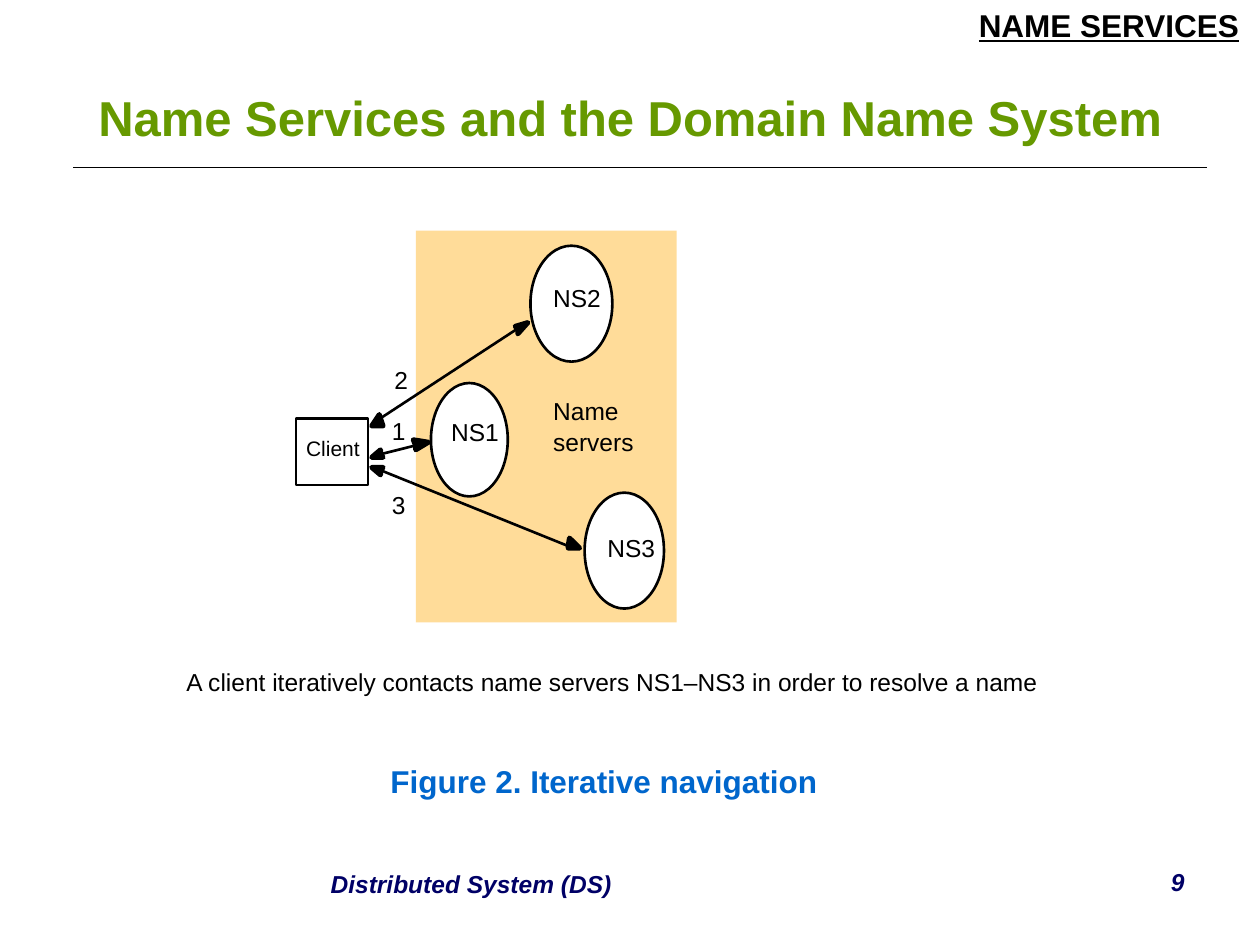
from lxml.etree import SubElement
from pptx import Presentation
from pptx.dml.color import RGBColor
from pptx.enum.shapes import MSO_CONNECTOR as CONNECTOR, MSO_SHAPE as SHAPE
from pptx.enum.text import MSO_ANCHOR as ANCHOR, PP_ALIGN as ALIGN
from pptx.oxml.ns import qn
from pptx.util import Pt

PX = 9144  # 100 px to the inch
COLORS = {
    "black": "000000",
    "white": "FFFFFF",
    "title": "669900",
    "zone": "FFDC99",
    "caption": "0066CC",
    "footer": "000066",
}


def color(name):
    return RGBColor.from_string(COLORS[name])


def add_text(box, text, size=14, ink="black", align=ALIGN.LEFT, margins=(0, 0),
             wrap=False, anchor=ANCHOR.TOP, bold=False, italic=False, underline=False):
    """Add a one-line text box; box and margins (side, top) are in px."""
    frame = slide.shapes.add_textbox(*(v * PX for v in box)).text_frame
    frame.margin_left = frame.margin_right = margins[0] * PX
    frame.margin_top = frame.margin_bottom = margins[1] * PX
    frame.word_wrap = wrap
    frame.vertical_anchor = anchor
    paragraph = frame.paragraphs[0]
    paragraph.alignment = align
    run = paragraph.add_run()
    run.text = text
    font = run.font
    font.name, font.size = "Arial", Pt(size)
    font.bold, font.italic, font.underline = bold, italic, underline
    font.color.rgb = color(ink)


presentation = Presentation()
presentation.slide_width, presentation.slide_height = 1000 * PX, 750 * PX
slide = presentation.slides.add_slide(presentation.slide_layouts[6])

# Header, page number and title
padded = {"margins": (10, 5), "wrap": True, "bold": True}
add_text((767, 0, 233, 40), "NAME SERVICES", 18, underline=True, **padded)
add_text((717, 683, 233, 52), "9", ink="footer", align=ALIGN.RIGHT, italic=True, **padded)
add_text((50, 64, 900, 57), "Name Services and the Domain Name System", 28, "title",
         ALIGN.CENTER, anchor=ANCHOR.MIDDLE, **padded)

# One-cell table whose top border is the rule under the title
table = slide.shapes.add_table(1, 1, 58 * PX, 133 * PX, 900 * PX, 218 * PX).table
table.first_row = table.horz_banding = False
cell = table.cell(0, 0)
cell_properties = cell._tc.get_or_add_tcPr()
for side in ("L", "R", "T", "B"):
    border = SubElement(cell_properties, qn(f"a:ln{side}"), w=str(Pt(1.08)))
    if side == "T":
        fill = SubElement(border, qn("a:solidFill"))
        SubElement(fill, qn("a:srgbClr"), val=COLORS["black"])
    else:
        SubElement(border, qn("a:noFill"))
cell.fill.background()

# Server zone, name servers and client
nodes = [
    (SHAPE.RECTANGLE, (330, 183, 207, 311), "zone", False),
    (SHAPE.OVAL, (342, 304, 61, 90), "white", True),
    (SHAPE.OVAL, (421, 195, 65, 92), "white", True),
    (SHAPE.OVAL, (464, 391, 63, 92), "white", True),
    (SHAPE.RECTANGLE, (235, 332, 57, 53), None, True),
]
for kind, box, fill_name, outlined in nodes:
    shape = slide.shapes.add_shape(kind, *(v * PX for v in box))
    shape.shadow.inherit = False
    if fill_name:
        shape.fill.solid()
        shape.fill.fore_color.rgb = color(fill_name)
    else:
        shape.fill.background()
    if outlined:
        shape.line.color.rgb = color("black")
        shape.line.width = Pt(1.5)
    else:
        shape.line.fill.background()

# Each request: line start, line end, then the two arrowhead outlines
requests = [
    ((304, 360), (328, 354),
     [(302, 360), (304, 363), (295, 363), (302, 357)],
     [(330, 354), (328, 349), (340, 351), (330, 357)]),
    ((302, 332), (409, 262),
     [(302, 332), (304, 338), (295, 338), (301, 329)],
     [(411, 262), (409, 259), (419, 256), (411, 265)]),
    ((450, 433), (304, 374),
     [(451, 433), (452, 427), (460, 435), (451, 435)],
     [(302, 374), (302, 377), (295, 371), (304, 371)]),
]
for start, end, *arrowheads in requests:
    for points in arrowheads:
        builder = slide.shapes.build_freeform(*points[0], scale=PX)
        builder.add_line_segments(points[1:], close=True)
        arrowhead = builder.convert_to_shape()
        arrowhead.shadow.inherit = False
        arrowhead.fill.solid()
        arrowhead.fill.fore_color.rgb = color("black")
        arrowhead.line.color.rgb = color("black")
        arrowhead.line.width = Pt(2.86)
    line = slide.shapes.add_connector(CONNECTOR.STRAIGHT, *(v * PX for v in start + end))
    line.line.color.rgb = color("black")
    line.line.width = Pt(1.5)
    SubElement(line._element.spPr, qn("a:effectLst"))

# Diagram labels
add_text((243, 346, 43, 20), "Client", 12)
labels = [
    ("1", 311, 330, 11),
    ("2", 313, 290, 11),
    ("3", 311, 389, 11),
    ("A client iteratively contacts name servers NS1–NS3 in order to resolve a name",
     148, 529, 677),
    ("NS2", 439, 225, 38),
    ("NS1", 358, 331, 38),
    ("NS3", 482, 423, 38),
    ("Name", 439, 314, 52),
    ("servers", 439, 339, 64),
]
for text, left, top, width in labels:
    add_text((left, top, width, 23), text)

# Caption and footer
add_text((300, 600, 359, 40), "Figure 2. Iterative navigation", 18, "caption",
         margins=(10, 5), bold=True)
add_text((50, 685, 648, 52), "Distributed System (DS)", ink="footer",
         align=ALIGN.CENTER, italic=True, **padded)

presentation.save("out.pptx")
